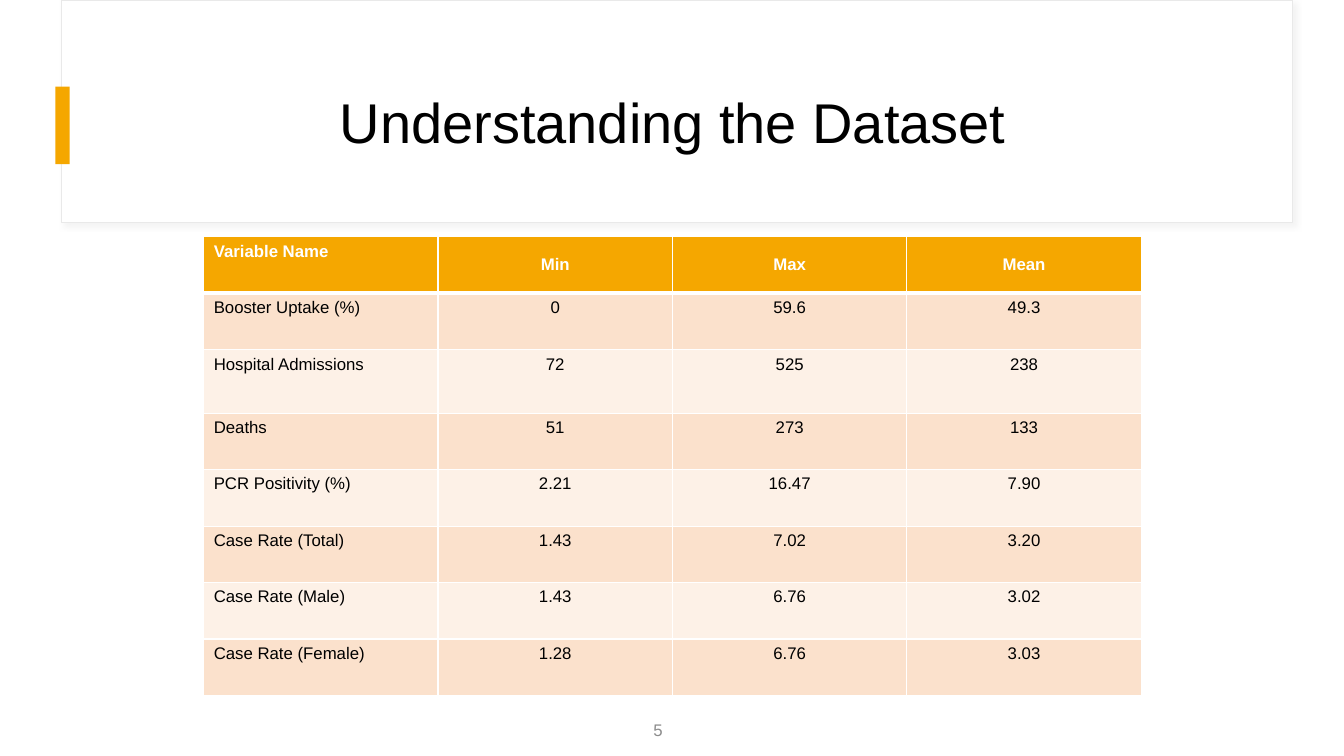
from lxml import etree
from pptx import Presentation
from pptx.dml.color import RGBColor
from pptx.enum.shapes import MSO_SHAPE
from pptx.enum.text import MSO_ANCHOR, PP_ALIGN
from pptx.oxml.ns import qn
from pptx.util import Pt

RECT = MSO_SHAPE.RECTANGLE
TOP, MIDDLE = MSO_ANCHOR.TOP, MSO_ANCHOR.MIDDLE
LEFT, CENTER, RIGHT = PP_ALIGN.LEFT, PP_ALIGN.CENTER, PP_ALIGN.RIGHT

TITLE = "Understanding the Dataset"
PAGE_NUMBER = "5"
HEADER = ("Variable Name", "Min", "Max", "Mean")
VARIABLES = [
    ("Booster Uptake (%)", "0", "59.6", "49.3"),
    ("Hospital Admissions", "72", "525", "238"),
    ("Deaths", "51", "273", "133"),
    ("PCR Positivity (%)", "2.21", "16.47", "7.90"),
    ("Case Rate (Total)", "1.43", "7.02", "3.20"),
    ("Case Rate (Male)", "1.43", "6.76", "3.02"),
    ("Case Rate (Female)", "1.28", "6.76", "3.03"),
]
FONT = "Arial"
WHITE, BLACK, GRAY, ORANGE = "FFFFFF", "000000", "8C8C8C", "F5A700"
FRAME_LINE, FRAME_SHADOW = "E9E9E9", "D9D9D9"
BANDS = ("FBE1CC", "FDF1E7")

EMU_PER_PX = 9144
SLIDE_W, SLIDE_H = 1333, 750
FRAME = (61, 0, 1221, 221)
ACCENT = (55, 86, 14, 77)
TITLE_AREA = (111, 60, 1112, 129)
NUMBER_AREA = (367, 704, 300, 40)
TABLE_AREA = (202, 235, 930, 455)
ROW_H, TALL_ROW, TALL_ROW_H = 56, 2, 63


def px(value):
    return round(value * EMU_PER_PX)


def color(value):
    return RGBColor.from_string(value)


def format_text(frame, text, size, ink, align, bold=False):
    frame.text = text
    paragraph = frame.paragraphs[0]
    paragraph.alignment = align
    font = paragraph.runs[0].font
    font.name, font.size, font.bold = FONT, Pt(size), bold
    font.color.rgb = color(ink)
    return paragraph


def add_rect(slide, area, fill):
    rect = slide.shapes.add_shape(RECT, *map(px, area))
    rect.shadow.inherit = False
    rect.fill.solid()
    rect.fill.fore_color.rgb = color(fill)
    rect.line.fill.background()
    return rect


def add_label(slide, area, text, size, ink, align):
    frame = slide.shapes.add_textbox(*map(px, area)).text_frame
    frame.word_wrap = True
    frame.vertical_anchor = MIDDLE
    return format_text(frame, text, size, ink, align)


def add_shadow(rect):
    effects = rect._element.spPr.find(qn("a:effectLst"))
    shadow = etree.SubElement(effects, qn("a:outerShdw"), blurRad=str(Pt(4)),
                              dist=str(Pt(3)), dir=str(45 * 60000), algn="tl", rotWithShape="0")
    tint = etree.SubElement(shadow, qn("a:srgbClr"), val=FRAME_SHADOW)
    etree.SubElement(tint, qn("a:alpha"), val="30000")


def set_borders(cell, widths):
    properties = cell._tc.get_or_add_tcPr()
    for side, width in widths.items():
        border = etree.SubElement(properties, qn(f"a:ln{side}"), w=str(Pt(width)))
        fill = etree.SubElement(border, qn("a:solidFill"))
        etree.SubElement(fill, qn("a:srgbClr"), val=WHITE)


def add_variable_table(slide):
    rows = [HEADER, *VARIABLES]
    table = slide.shapes.add_table(len(rows), len(HEADER), *map(px, TABLE_AREA)).table
    for column in table.columns:
        column.width = px(TABLE_AREA[2] / len(HEADER))
    for r, values in enumerate(rows):
        is_header = r == 0
        table.rows[r].height = px(TALL_ROW_H if r == TALL_ROW else ROW_H)
        for c, value in enumerate(values):
            cell = table.cell(r, c)
            set_borders(cell, {"L": 1, "R": 1, "T": 3 if r == 1 else 1, "B": 3 if is_header else 1})
            cell.fill.solid()
            cell.fill.fore_color.rgb = color(ORANGE if is_header else BANDS[(r - 1) % 2])
            cell.vertical_anchor = MIDDLE if is_header and c else TOP
            format_text(cell.text_frame, value, 12, WHITE if is_header else BLACK,
                        CENTER if c else LEFT, is_header)


def main():
    deck = Presentation()
    deck.slide_width, deck.slide_height = px(SLIDE_W), px(SLIDE_H)
    slide = deck.slides.add_slide(deck.slide_layouts[6])

    frame = add_rect(slide, FRAME, WHITE)
    frame.line.color.rgb = color(FRAME_LINE)
    frame.line.width = Pt(0.75)
    add_shadow(frame)
    add_rect(slide, ACCENT, ORANGE)

    title = add_label(slide, TITLE_AREA, TITLE, 40, BLACK, CENTER)
    title.line_spacing = 0.9
    add_label(slide, NUMBER_AREA, PAGE_NUMBER, 12, GRAY, RIGHT)
    add_variable_table(slide)
    deck.save("out.pptx")


if __name__ == "__main__":
    main()
